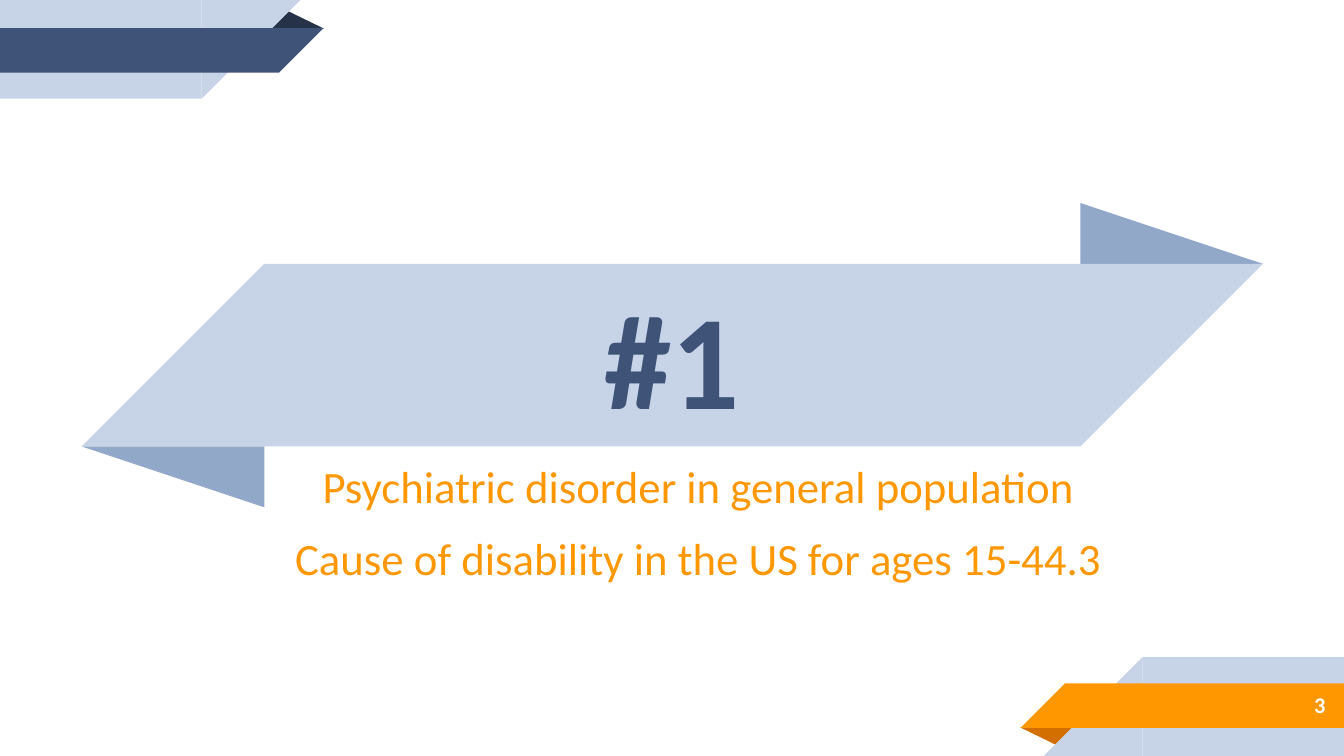
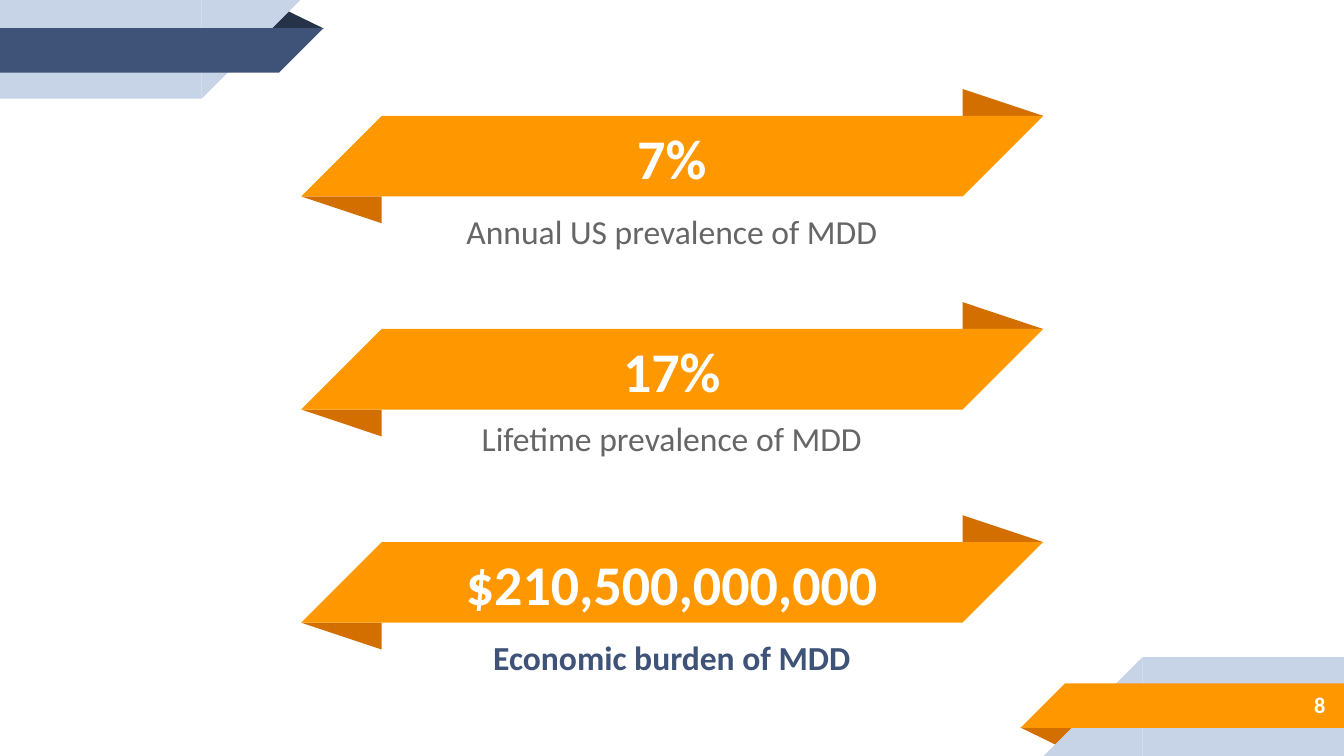
from dataclasses import dataclass

from pptx import Presentation
from pptx.dml.color import RGBColor
from pptx.enum.shapes import MSO_SHAPE
from pptx.enum.text import MSO_ANCHOR, MSO_AUTO_SIZE, PP_ALIGN
from pptx.shapes.autoshape import Shape
from pptx.slide import Slide
from pptx.util import Cm, Pt

RECTANGLE = MSO_SHAPE.RECTANGLE
RIGHT_TRIANGLE = MSO_SHAPE.RIGHT_TRIANGLE
TRIANGLE = MSO_SHAPE.ISOSCELES_TRIANGLE
PARALLELOGRAM = MSO_SHAPE.PARALLELOGRAM
TOP, MIDDLE = MSO_ANCHOR.TOP, MSO_ANCHOR.MIDDLE
CENTER, RIGHT = PP_ALIGN.CENTER, PP_ALIGN.RIGHT
NO_AUTOFIT = MSO_AUTO_SIZE.NONE

COLORS = {
    "white": "FFFFFF",
    "pale": "C7D3E6",
    "steel": "92A8C8",
    "navy": "3F5378",
    "night": "263248",
    "orange": "FF9800",
    "rust": "D26F00",
    "gray": "666666",
}
FONT = "Calibri"
PAGE_WIDTH, PAGE_HEIGHT = 33.87, 19.05
INSET = 0.33


@dataclass(frozen=True)
class Frame:
    """A rectangle in centimetres."""
    left: float
    top: float
    width: float
    height: float

    def lengths(self) -> tuple[Cm, Cm, Cm, Cm]:
        return Cm(self.left), Cm(self.top), Cm(self.width), Cm(self.height)

    def turned(self) -> "Frame":
        """The same rectangle after half a turn of the page."""
        return Frame(PAGE_WIDTH - self.left - self.width,
                     PAGE_HEIGHT - self.top - self.height,
                     self.width, self.height)


@dataclass(frozen=True)
class Style:
    size: float
    color: str
    bold: bool = False
    align: PP_ALIGN = CENTER
    anchor: MSO_ANCHOR = MIDDLE
    indent: float = 0


@dataclass(frozen=True)
class Line:
    text: str
    before: float = 0
    after: float = 0


@dataclass(frozen=True)
class Statistic:
    value: str
    caption: Line
    caption_top: float
    caption_height: float
    caption_style: Style


HEADLINE = Style(96, "navy", bold=True)
CLAIM = Style(32, "orange", anchor=TOP, indent=1.27)
VALUE = Style(40, "white", bold=True)
CAPTION = Style(24, "gray")
BURDEN = Style(24, "navy", bold=True, anchor=TOP)
PAGE_NUMBER = Style(16, "white", bold=True, align=RIGHT)

CLAIMS = [
    Line("Psychiatric disorder in general population", before=8),
    Line("Cause of disability in the US for ages 15-44.3", before=13),
]
STATISTICS = [
    Statistic("7%", Line("Annual US prevalence of MDD", 8, 13), 4.95, 1.73, CAPTION),
    Statistic("17%", Line("Lifetime prevalence of MDD", 8, 13), 10.29, 1.52, CAPTION),
    Statistic("$210,500,000,000", Line("Economic burden of MDD"), 15.72, 1.52, BURDEN),
]
FIRST_RIBBON_TOP, RIBBON_STEP = 2.92, 5.37


def add_piece(page: Slide, kind: MSO_SHAPE, frame: Frame, color: str,
              rotation: float = 0) -> Shape:
    shape = page.shapes.add_shape(kind, *frame.lengths())
    shape.shadow.inherit = False
    shape.fill.solid()
    shape.fill.fore_color.rgb = RGBColor.from_string(COLORS[color])
    shape.line.fill.background()
    shape.rotation = rotation
    return shape


def add_corner(page: Slide, band: str, fold: str, turned: bool) -> list[Shape]:
    """Draw the top left corner bands, or the bottom right ones when turned."""
    turn = 180 if turned else 0

    def piece(kind: MSO_SHAPE, frame: Frame, color: str, rotation: float = 0) -> Shape:
        place = frame.turned() if turned else frame
        return add_piece(page, kind, place, color, rotation + turn)

    fold_shape = piece(TRIANGLE, Frame(6.71, 0.24, 1.45, 0.48), fold)
    fold_shape.adjustments[0] = 0.32
    pieces = [fold_shape]
    for top, width, height, color in ((0, 5.08, 2.49, "pale"), (0.71, 7.03, 1.12, band)):
        pieces.append(piece(RECTANGLE, Frame(0, top, width, height), color))
        pieces.append(piece(RIGHT_TRIANGLE, Frame(width, top, height, height), color, 90))
    return pieces


def add_layout_corners(page: Slide) -> None:
    """Put the corner bands on the layout of the page, for all its slides."""
    pieces = add_corner(page, "orange", "rust", turned=True)
    pieces += add_corner(page, "navy", "night", turned=False)
    for number, shape in enumerate(pieces, start=100):
        shape.element.nvSpPr.cNvPr.set("id", str(number))
        page.slide_layout.shapes.element.append(shape.element)


def add_ribbon(page: Slide, frame: Frame, color: str, fold: str) -> None:
    slant, fold_height = frame.height, frame.height / 3
    upper = Frame(frame.left + frame.width - slant, frame.top - fold_height,
                  slant, fold_height)
    lower = Frame(frame.left, frame.top + frame.height, slant, fold_height)
    add_piece(page, RIGHT_TRIANGLE, upper, fold)
    add_piece(page, RIGHT_TRIANGLE, lower, fold, 180)
    add_piece(page, PARALLELOGRAM, frame, color).adjustments[0] = 1


def write(page: Slide, frame: Frame, lines: list[Line], style: Style,
          placeholder: Shape | None = None) -> None:
    """Fill the placeholder, brought to the front, or else a new text box."""
    if placeholder is None:
        box = page.shapes.add_textbox(*frame.lengths())
    else:
        box = placeholder
        box.left, box.top, box.width, box.height = frame.lengths()
        page.shapes.element.append(box.element)
    text = box.text_frame
    text.word_wrap = True
    text.auto_size = NO_AUTOFIT
    text.vertical_anchor = style.anchor
    text.margin_left = text.margin_right = Cm(INSET)
    text.margin_top = text.margin_bottom = Cm(INSET)
    for index, line in enumerate(lines):
        para = text.add_paragraph() if index else text.paragraphs[0]
        para.alignment = style.align
        para.space_before, para.space_after = Pt(line.before), Pt(line.after)
        if style.indent:
            properties = para._p.get_or_add_pPr()
            properties.set("marL", str(Cm(style.indent)))
            properties.set("indent", "0")
        span = para.add_run()
        span.text = line.text
        span.font.name = FONT
        span.font.size = Pt(style.size)
        span.font.bold = style.bold
        span.font.color.rgb = RGBColor.from_string(COLORS[style.color])


def add_page_number(page: Slide, number: int) -> None:
    write(page, Frame(28.22, 17.17, 5.51, 1.17), [Line(str(number))], PAGE_NUMBER)


def fill_headline_page(page: Slide) -> None:
    ribbon = Frame(2.06, 6.65, 29.77, 4.6)
    add_ribbon(page, ribbon, "pale", "steel")
    title, body = page.placeholders
    write(page, Frame(2.06, 6.7, 29.77, 4.55), [Line("#1")], HEADLINE, title)
    write(page, Frame(5.77, 11.23, 22.4, 7.11), CLAIMS, CLAIM, body)
    add_page_number(page, 3)


def fill_statistics_page(page: Slide) -> None:
    title, body = page.placeholders
    for index, item in enumerate(STATISTICS):
        top = FIRST_RIBBON_TOP + index * RIBBON_STEP
        add_ribbon(page, Frame(7.59, top, 18.7, 2.03), "orange", "rust")
        first = index == 0
        write(page, Frame(9.68, top + 0.04, 14.5, 1.98), [Line(item.value)], VALUE,
              title if first else None)
        write(page, Frame(9.68, item.caption_top, 14.5, item.caption_height),
              [item.caption], item.caption_style, body if first else None)
    add_page_number(page, 8)


def main() -> None:
    deck = Presentation()
    deck.slide_width, deck.slide_height = Cm(PAGE_WIDTH), Cm(PAGE_HEIGHT)
    layout = deck.slide_layouts[0]
    headline_page = deck.slides.add_slide(layout)
    add_layout_corners(headline_page)
    fill_headline_page(headline_page)
    fill_statistics_page(deck.slides.add_slide(layout))
    deck.save("out.pptx")


if __name__ == "__main__":
    main()
